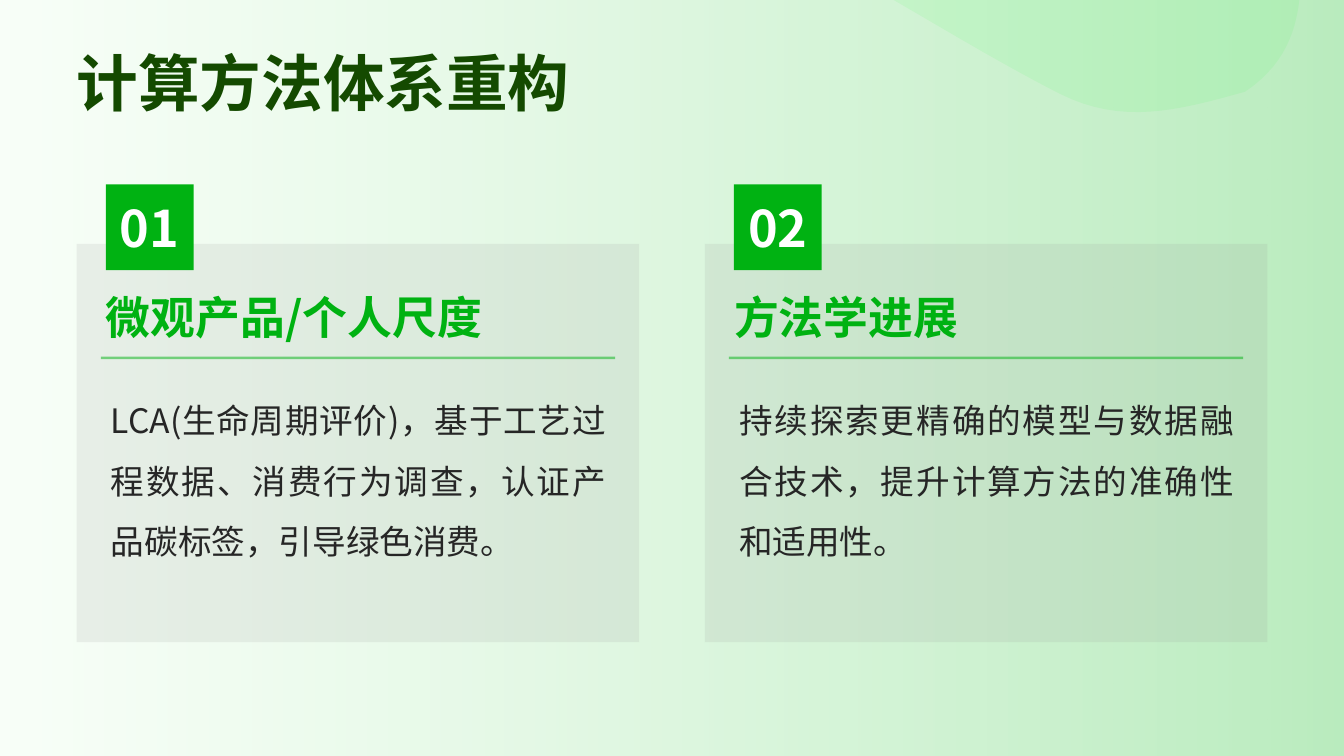
import pptx
import pptx.util
import pptx.dml.color
import pptx.enum.lang
import pptx.enum.shapes
import pptx.enum.text
import pptx.oxml.ns
import lxml.etree

TITLE = "计算方法体系重构"
CARDS = [
    ("01", "微观产品/个人尺度",
     "LCA(生命周期评价)，基于工艺过程数据、消费行为调查，认证产品碳标签，引导绿色消费。"),
    ("02", "方法学进展",
     "持续探索更精确的模型与数据融合技术，提升计算方法的准确性和适用性。"),
]
START = (8.53, -0.19)
CURVES = [
    ((9.19, 0.18), (9.79, 0.56), (10.51, 0.93)),
    ((11.13, 1.24), (11.67, 1.1), (12.35, 0.91)),
    ((12.81, 0.6), (12.88, 0.19), (12.9, -0.15)),
    ((11.49, -0.19), (10.69, -0.13), START),
]
THEME = {
    "page": "F7FFF7", "white": "FFFFFF", "green": "00B212", "dark": "144A00",
    "ink": "262626", "gray": "999999", "lime": "38FF4C",
    "latin": "Arial", "sans": "Noto Sans CJK SC",
    "title": 44, "badge": 36, "head": 32, "body": 24, "rule": 1.75,
}
WIDE, HIGH = 13.33, 7.5
LEFT, STEP = 0.76, 6.23
STEPS = 16

Inches = pptx.util.Inches
qn = pptx.oxml.ns.qn
Shape = pptx.enum.shapes.MSO_SHAPE
Align = pptx.enum.text.PP_ALIGN
Anchor = pptx.enum.text.MSO_ANCHOR


def color(name):
    return pptx.dml.color.RGBColor.from_string(THEME[name])


def fade(shape, *levels):
    tags = shape.element.spPr.iter(qn("a:srgbClr"))
    for tag, level in zip(tags, levels):
        lxml.etree.SubElement(tag, qn("a:alpha"), val=str(level * 1000))


def paint(shape, name, level=None):
    shape.shadow.inherit = False
    shape.line.fill.background()
    shape.fill.solid()
    shape.fill.fore_color.rgb = color(name)
    if level:
        fade(shape, level)


def block(slide, box, name, level=None):
    shape = slide.shapes.add_shape(Shape.RECTANGLE, *map(Inches, box))
    paint(shape, name, level)
    return shape


def write(shape, text, size, ink, font="sans", bold=False, align=Align.LEFT,
          anchor=Anchor.MIDDLE, space=1.0, wrap=True):
    frame = shape.text_frame
    frame.auto_size = pptx.enum.text.MSO_AUTO_SIZE.NONE
    frame.word_wrap = wrap
    frame.vertical_anchor = anchor
    frame.margin_left = frame.margin_right = 0
    frame.margin_top = frame.margin_bottom = 0
    para = frame.paragraphs[0]
    props = para._p.get_or_add_pPr()
    props.set("marL", "0")
    props.set("indent", "0")
    lxml.etree.SubElement(props, qn("a:buNone"))
    para.alignment = align
    para.line_spacing = space
    para.space_before = pptx.util.Pt(0)
    run = para.add_run()
    run.text = text
    run.font.size = pptx.util.Pt(THEME[size])
    run.font.bold = bold
    run.font.color.rgb = color(ink)
    run.font.name = THEME[font]
    run.font.language_id = pptx.enum.lang.MSO_LANGUAGE_ID.SIMPLIFIED_CHINESE
    lxml.etree.SubElement(run._r.get_or_add_rPr(), qn("a:ea"), typeface=THEME["sans"])


def place(slide, index, box):
    shape = slide.placeholders[index]
    shape.left, shape.top, shape.width, shape.height = map(Inches, box)
    slide.shapes.element.append(shape.element)
    return shape


def trace():
    points, first = [], START
    for two, three, last in CURVES:
        for step in range(1, STEPS + 1):
            t = step / STEPS
            u = 1 - t
            points.append(tuple(
                Inches(u**3 * a + 3 * u * u * t * b + 3 * u * t * t * c + t**3 * d)
                for a, b, c, d in zip(first, two, three, last)))
        first = last
    return points


def backdrop(slide):
    slide.background.fill.solid()
    slide.background.fill.fore_color.rgb = color("page")
    wash = block(slide, (0, 0, WIDE, HIGH), "white")
    wash.fill.gradient()
    wash.fill.gradient_angle = 0
    for stop, name in zip(wash.fill.gradient_stops, ("white", "green")):
        stop.color.rgb = color(name)
    fade(wash, 18, 25)
    pen = slide.shapes.build_freeform(*map(Inches, START), scale=1.0)
    pen.add_line_segments(trace(), close=True)
    paint(pen.convert_to_shape(), "lime", 9)


def card(slide, order, badge, head, body):
    x = LEFT + order * STEP
    block(slide, (x, 2.42, 5.58, 3.95), "gray", 15)
    write(place(slide, 2 * order + 2, (x + 0.34, 3.77, 4.91, 2.4)), body,
          "body", "ink", align=Align.JUSTIFY, anchor=Anchor.TOP, space=1.5)
    write(block(slide, (x + 0.29, 1.83, 0.87, 0.85), "green"), badge,
          "badge", "white", bold=True, align=Align.CENTER, wrap=False)
    ends = (x + 0.24, 3.55, x + 5.34, 3.55)
    rule = slide.shapes.add_connector(
        pptx.enum.shapes.MSO_CONNECTOR.STRAIGHT, *map(Inches, ends))
    rule.line.width = pptx.util.Pt(THEME["rule"])
    rule.line.color.rgb = color("green")
    fade(rule, 50)
    lxml.etree.SubElement(rule.element.spPr, qn("a:effectLst"))
    write(place(slide, 2 * order + 1, (x + 0.29, 2.9, 4.91, 0.48)), head,
          "head", "green", bold=True)


def main():
    deck = pptx.Presentation()
    deck.slide_width, deck.slide_height = Inches(WIDE), Inches(HIGH)
    slide = deck.slides.add_slide(deck.slide_layouts.get_by_name("Comparison"))
    backdrop(slide)
    write(place(slide, 0, (LEFT, 0.39, 11.81, 0.79)), TITLE, "title", "dark",
          font="latin", bold=True, anchor=Anchor.BOTTOM)
    for order, parts in enumerate(CARDS):
        card(slide, order, *parts)
    deck.save("out.pptx")


if __name__ == "__main__":
    main()
